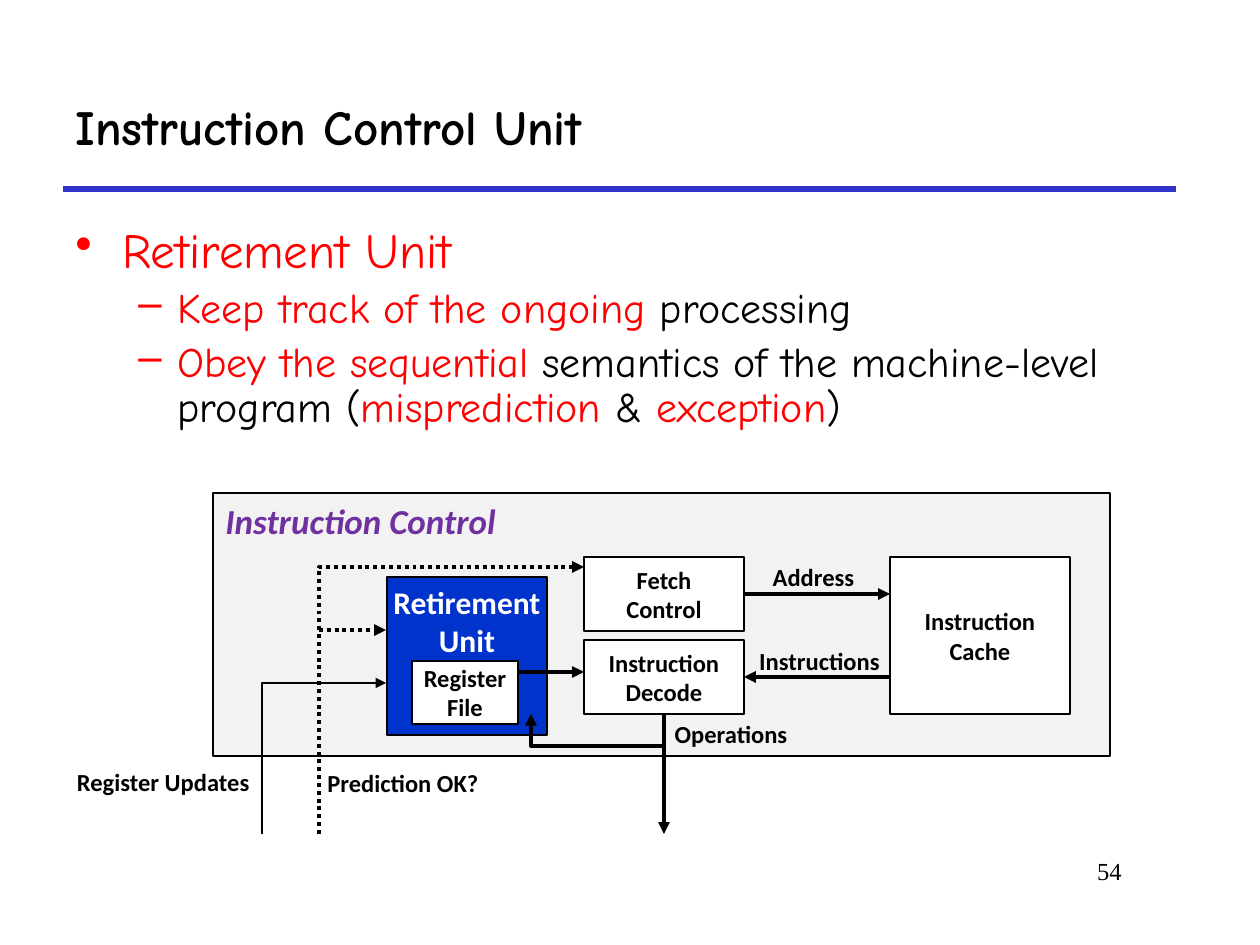
from lxml.etree import SubElement
from pptx import Presentation
from pptx.dml.color import RGBColor
from pptx.enum.dml import MSO_LINE
from pptx.enum.shapes import MSO_CONNECTOR, MSO_SHAPE
from pptx.enum.text import MSO_ANCHOR, PP_ALIGN
from pptx.oxml.ns import qn
from pptx.util import Emu, Pt

SCALE = 914400 / 126
COLORS = {
    "black": "000000",
    "white": "FFFFFF",
    "red": "FF0000",
    "rule": "3333CC",
    "panel": "F2F2F2",
    "purple": "7030A0",
    "blue": "0033CC",
}
LEFT, CENTER, RIGHT = PP_ALIGN.LEFT, PP_ALIGN.CENTER, PP_ALIGN.RIGHT
TOP, MIDDLE = MSO_ANCHOR.TOP, MSO_ANCHOR.MIDDLE


def write_text(box, lines, size, font="Calibri", align=CENTER, anchor=TOP,
               bold=True, italic=False, wrap=False):
    frame = box.text_frame
    frame.word_wrap = wrap
    frame.vertical_anchor = anchor
    for index, runs in enumerate(lines):
        para = frame.paragraphs[0] if index == 0 else frame.add_paragraph()
        para.alignment = align
        for text, color in runs:
            span = para.add_run()
            span.text = text
            span.font.name = font
            span.font.size = Pt(size)
            span.font.bold = bold
            span.font.italic = italic
            span.font.color.rgb = RGBColor.from_string(COLORS[color])


def style_line(shape, width, color="black", dotted=False, arrow=True):
    shape.line.color.rgb = RGBColor.from_string(COLORS[color])
    shape.line.width = Pt(width)
    if dotted:
        shape.line.dash_style = MSO_LINE.ROUND_DOT
    properties = shape._element.spPr
    if arrow:
        SubElement(properties.find(qn("a:ln")), qn("a:tailEnd"), type="triangle")
    SubElement(properties, qn("a:effectLst"))


deck = Presentation()
deck.slide_width = Emu(round(1260 * SCALE))
deck.slide_height = Emu(round(945 * SCALE))
page = deck.slides.add_slide(deck.slide_layouts[6])
shapes = page.shapes

text_boxes = {}
for name, place in {
    "title": (63, 63, 1113, 126),
    "body": (63, 220, 1144, 609),
    "number": (955, 850, 179, 63),
}.items():
    text_boxes[name] = shapes.add_textbox(*[Emu(round(v * SCALE)) for v in place])

write_text(text_boxes["title"], [[("Instruction Control Unit", "black")]], 28,
           "Comic Neue", LEFT, MIDDLE, wrap=True)
write_text(text_boxes["number"], [[("54", "black")]], 14, "Times New Roman",
           RIGHT, bold=False, wrap=True)
write_text(text_boxes["body"], [
    [("Retirement Unit", "red")],
    [("Keep track of the ongoing", "red"), (" processing", "black")],
    [("Obey the sequential", "red"),
     (" semantics of the machine-level program (", "black"),
     ("misprediction ", "red"), ("& ", "black"), ("exception", "red"), (")", "black")],
], 24, "Comic Neue", LEFT, bold=False, wrap=True)

for index, para in enumerate(text_boxes["body"].text_frame.paragraphs):
    para.line_spacing = 0.9
    margin, indent, mark = (47, -47, "•") if index == 0 else (102, -39, "–")
    if index == 0:
        para.runs[0].font.size = Pt(28)
    else:
        para.level = 1
        para.space_before = Pt(4.8)
    properties = para._p.get_or_add_pPr()
    properties.set("marL", str(round(margin * SCALE)))
    properties.set("indent", str(round(indent * SCALE)))
    bullet_color = SubElement(properties, qn("a:buClr"))
    SubElement(bullet_color, qn("a:srgbClr"), val=COLORS["red"])
    SubElement(properties, qn("a:buChar"), char=mark)

blocks = {}
for name, place, fill, width, lines, color, size, align, anchor in [
    ("panel", (213, 493, 897, 263), "panel", 1.5, ["Instruction Control"], "purple", 20, LEFT, TOP),
    ("cache", (890, 557, 180, 157), "white", 0.75, ["Instruction", "Cache"], "black", 14, CENTER, MIDDLE),
    ("fetch", (584, 557, 160, 74), "white", 0.75, ["Fetch", "Control"], "black", 14, CENTER, MIDDLE),
    ("decode", (584, 640, 160, 74), "white", 0.75, ["Instruction", "Decode"], "black", 14, CENTER, MIDDLE),
    ("retirement", (387, 577, 160, 158), "blue", 0.75, ["Retirement", "Unit"], "white", 18, CENTER, TOP),
    ("registers", (412, 661, 106, 63), "white", 0.75, ["Register", "File"], "black", 14, CENTER, MIDDLE),
]:
    block = shapes.add_shape(MSO_SHAPE.RECTANGLE, *[Emu(round(v * SCALE)) for v in place])
    block.shadow.inherit = False
    block.fill.solid()
    block.fill.fore_color.rgb = RGBColor.from_string(COLORS[fill])
    block.line.color.rgb = RGBColor.from_string(COLORS["black"])
    block.line.width = Pt(width)
    write_text(block, [[(line, color)] for line in lines], size, align=align,
               anchor=anchor, italic=name == "panel", wrap=name == "panel")
    blocks[name] = block

for text, place, align in [
    ("Address", (760, 556, 107, 43), CENTER),
    ("Instructions", (746, 640, 147, 43), CENTER),
    ("Operations", (661, 713, 140, 43), CENTER),
    ("Prediction OK?", (315, 762, 178, 43), LEFT),
    ("Register Updates", (63, 761, 199, 43), RIGHT),
]:
    label = shapes.add_textbox(*[Emu(round(v * SCALE)) for v in place])
    write_text(label, [[(text, "black")]], 14, align=align)

lines = {}
for name, ends, width, color, dotted, arrow in [
    ("rule", (63, 189, 1176, 189), 3, "rule", False, False),
    ("address", (744, 594, 890, 594), 2.25, "black", False, True),
    ("instructions", (890, 677, 744, 677), 2.25, "black", False, True),
    ("operations", (664, 714, 664, 834), 2.25, "black", False, True),
    ("prediction", (319, 630, 386, 630), 2.25, "black", True, True),
    ("operands", (518, 672, 584, 672), 2.25, "black", False, True),
]:
    line = shapes.add_connector(MSO_CONNECTOR.STRAIGHT, *[Emu(round(v * SCALE)) for v in ends])
    style_line(line, width, color, dotted, arrow)
    lines[name] = line

lines["address"].begin_connect(blocks["fetch"], 3)
lines["instructions"].end_connect(blocks["decode"], 3)
lines["operations"].begin_connect(blocks["decode"], 2)

for points, width, dotted in [
    ([(319, 834), (319, 567), (584, 567)], 2.25, True),
    ([(262, 834), (262, 683), (386, 683)], 1.5, False),
    ([(664, 746), (531, 746), (531, 714)], 2.25, False),
]:
    builder = shapes.build_freeform(*points[0], scale=SCALE)
    builder.add_line_segments(points[1:], close=False)
    route = builder.convert_to_shape()
    route.fill.background()
    style_line(route, width, dotted=dotted)

deck.save("out.pptx")
